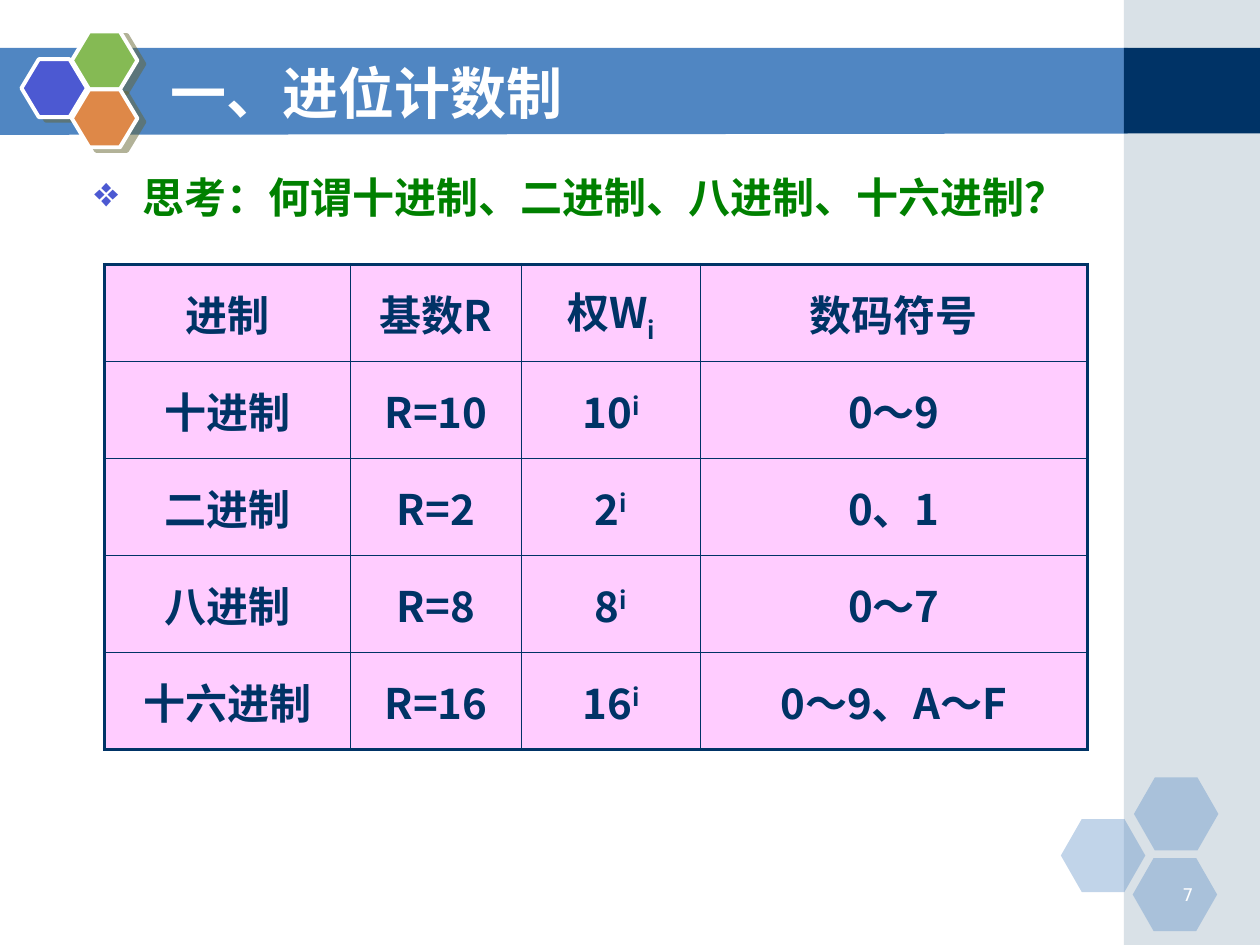
"""Build the slide that compares positional number systems in a table."""
from lxml import etree
from pptx import Presentation
from pptx import oxml
from pptx import util as u
from pptx.dml.color import RGBColor
from pptx.enum import shapes, text
from pptx.oxml.ns import qn

WHITE = RGBColor(0xFF, 0xFF, 0xFF)
NAVY = RGBColor(0x00, 0x33, 0x66)
BLUE = RGBColor(0x50, 0x86, 0xC2)
GREY = RGBColor(0xA0, 0xB5, 0xC4)
VIOLET = RGBColor(0x4C, 0x59, 0xD2)
LIME = RGBColor(0x85, 0xBA, 0x54)
ORANGE = RGBColor(0xDE, 0x88, 0x48)
GREEN = RGBColor(0x00, 0x80, 0x00)
PINK = RGBColor(0xFF, 0xCC, 0xFF)
SHADOW = RGBColor(0x66, 0x66, 0x33)
CJK = "Noto Sans CJK SC"

TITLE = "一、进位计数制"
QUESTION = "思考：何谓十进制、二进制、八进制、十六进制？"
PAGE_NUMBER = "7"
HEADER = ("进制", "基数R", ("权W", "i", -25), "数码符号")
SYSTEMS = [("十进制", 10, "0～9"), ("二进制", 2, "0、1"),
           ("八进制", 8, "0～7"), ("十六进制", 16, "0～9、A～F")]
ROWS = [HEADER] + [(name, f"R={base}", (str(base), "i", 30), digits)
                   for name, base, digits in SYSTEMS]
COLUMN_WIDTHS = (1.95, 1.36, 1.42, 3.07)
ROW_HEIGHT = 0.77
CORNER_HEXAGONS = [(8.42, 6.5), (9, 6.17), (8.99, 6.81)]
EMBLEM_HEXAGONS = [(0.17, 0.47, VIOLET), (0.57, 0.25, LIME), (0.57, 0.71, ORANGE)]


def add_element(parent, tag, **attributes):
    return etree.SubElement(parent, qn(tag), attributes)


def write(para, words, size=24, color=NAVY, font=CJK, bold=True, align=None, baseline=0):
    para.alignment = align
    span = para.add_run()
    span.text = words
    span.font.size = u.Pt(size)
    span.font.bold = bold
    span.font.color.rgb = color
    span.font.name = font
    properties = span.font._element
    add_element(properties, "a:ea", typeface=font)
    if baseline:
        properties.set("baseline", str(baseline * 1000))


def place(shape, left, top, width, height):
    shape.left, shape.top = u.Inches(left), u.Inches(top)
    shape.width, shape.height = u.Inches(width), u.Inches(height)


def paint(shape, color, opacity=100):
    shape.shadow.inherit = False
    shape.fill.solid()
    shape.fill.fore_color.rgb = color
    shape.line.fill.background()
    if opacity < 100:
        srgb = shape._element.spPr.find(qn("a:solidFill"))[0]
        add_element(srgb, "a:alpha", val=str(opacity * 1000))


def add_block(page, kind, area, color, opacity=100):
    shape = page.shapes.add_shape(kind, *map(u.Inches, area))
    paint(shape, color, opacity)
    return shape


def add_hexagon(page, area, color, slant, opacity=100):
    shape = add_block(page, shapes.MSO_SHAPE.HEXAGON, area, color, opacity)
    shape.adjustments[0] = slant
    return shape


def outline_and_shade(shape):
    shape.line.color.rgb = WHITE
    shape.line.width = u.Pt(2.25)
    effects = shape._element.spPr.find(qn("a:effectLst"))
    shade = add_element(effects, "a:outerShdw", blurRad="0", dist=str(u.Pt(4.5)),
                        dir=str(27 * 60000), algn="ctr", rotWithShape="0")
    srgb = add_element(shade, "a:srgbClr", val=str(SHADOW))
    add_element(srgb, "a:alpha", val="50000")


def add_background(page):
    builder = page.shapes.build_freeform(u.Inches(-0.01), u.Inches(0.38))
    corners = [(8.95, 0.38), (8.95, 1.06), (-0.01, 1.07)]
    builder.add_line_segments([(u.Inches(x), u.Inches(y)) for x, y in corners], close=True)
    paint(builder.convert_to_shape(), BLUE)
    add_block(page, shapes.MSO_SHAPE.RECTANGLE, (8.92, 0, 1.08, 7.5), GREY, 40)
    add_block(page, shapes.MSO_SHAPE.RECTANGLE, (8.92, 0.38, 1.08, 0.68), NAVY)
    for left, top in CORNER_HEXAGONS:
        add_hexagon(page, (left, top, 0.67, 0.58), BLUE, 0.286, 35)
    for left, top, color in EMBLEM_HEXAGONS:
        outline_and_shade(add_hexagon(page, (left, top, 0.52, 0.46), color, 0.3))


def add_box(page, *area):
    box = page.shapes.add_textbox(*map(u.Inches, area))
    box.text_frame.word_wrap = True
    return box.text_frame.paragraphs[0]


def add_bullet(para):
    properties = para._p.get_or_add_pPr()
    properties.set("marL", str(u.Inches(0.38)))
    properties.set("indent", str(u.Inches(-0.38)))
    color = add_element(properties, "a:buClr")
    add_element(color, "a:srgbClr", val=str(VIOLET))
    add_element(properties, "a:buChar", char="❖")


def set_borders(cell, thick_sides):
    properties = cell._tc.get_or_add_tcPr()
    for side in "LRTB":
        width = u.Pt(2.25 if side in thick_sides else 1)
        line = add_element(properties, f"a:ln{side}", w=str(width))
        fill = add_element(line, "a:solidFill")
        add_element(fill, "a:srgbClr", val=str(NAVY))


def add_systems_table(page):
    row_count, column_count = len(ROWS), len(COLUMN_WIDTHS)
    area = (0.83, 2.1, sum(COLUMN_WIDTHS), ROW_HEIGHT * row_count)
    table = page.shapes.add_table(row_count, column_count, *map(u.Inches, area)).table
    for column, width in zip(table.columns, COLUMN_WIDTHS):
        column.width = u.Inches(width)
    for r, values in enumerate(ROWS):
        table.rows[r].height = u.Inches(ROW_HEIGHT)
        for c, value in enumerate(values):
            cell = table.cell(r, c)
            edges = {"L": c == 0, "R": c == column_count - 1,
                     "T": r == 0, "B": r == row_count - 1}
            set_borders(cell, [side for side, outer in edges.items() if outer])
            cell.fill.solid()
            cell.fill.fore_color.rgb = PINK
            cell.vertical_anchor = text.MSO_ANCHOR.MIDDLE
            para = cell.text_frame.paragraphs[0]
            words, index, baseline = value if isinstance(value, tuple) else (value, "", 0)
            write(para, words, align=text.PP_ALIGN.CENTER)
            if index:
                write(para, index, align=text.PP_ALIGN.CENTER, baseline=baseline)


def main():
    deck = Presentation()
    deck.slide_width, deck.slide_height = u.Inches(10), u.Inches(7.5)
    page = deck.slides.add_slide(deck.slide_layouts[5])
    add_background(page)

    write(add_box(page, 9.07, 6.97, 0.5, 0.25), PAGE_NUMBER, size=10, color=WHITE,
          font="DejaVu Sans", bold=False, align=text.PP_ALIGN.RIGHT)

    title = page.shapes.title
    place(title, 1.25, 0.42, 7.33, 0.62)
    title.text_frame.vertical_anchor = text.MSO_ANCHOR.MIDDLE
    write(title.text_frame.paragraphs[0], TITLE, size=32, color=WHITE,
          align=text.PP_ALIGN.LEFT)
    page.shapes._spTree.append(title._element)

    question = add_box(page, 0.65, 1.31, 8.03, 0.71)
    add_bullet(question)
    write(question, QUESTION, color=GREEN)
    add_systems_table(page)
    deck.save("out.pptx")


if __name__ == "__main__":
    main()
